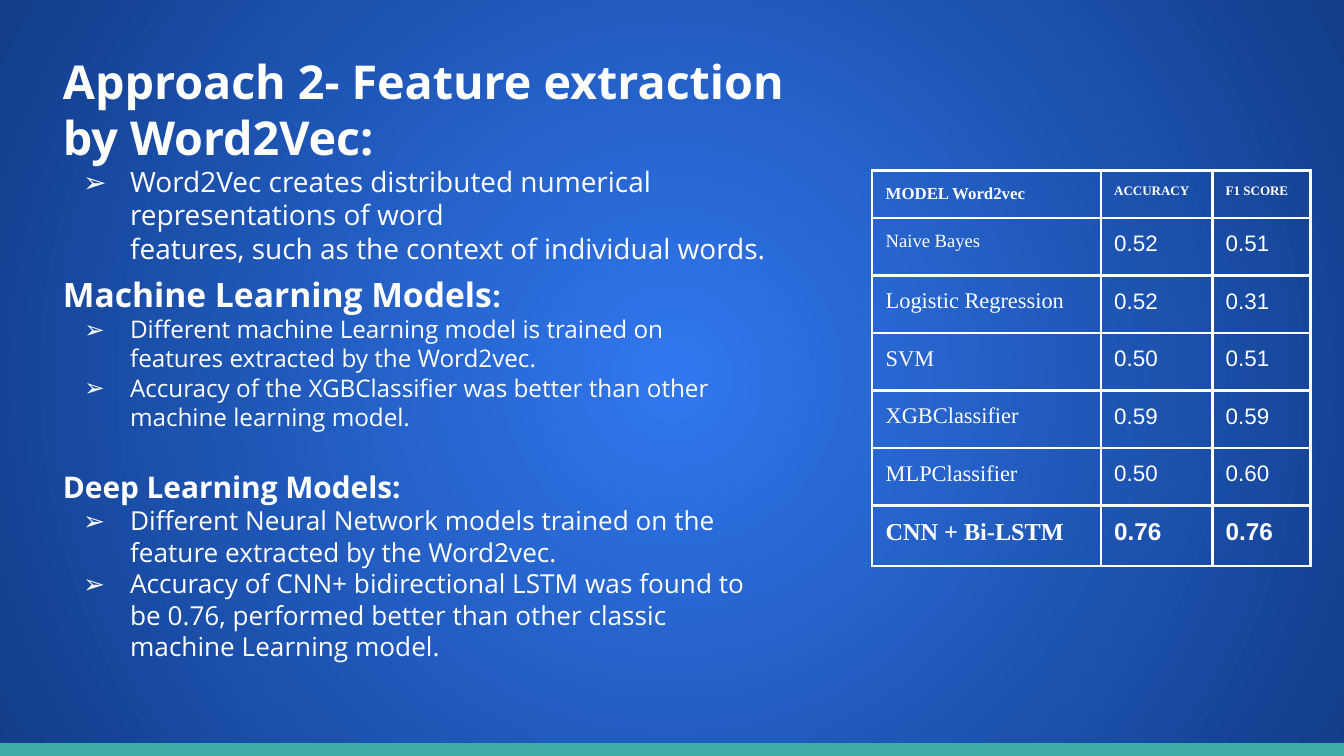
from lxml import etree
from pptx import Presentation
from pptx.dml.color import RGBColor
from pptx.enum import shapes, text
from pptx.oxml.ns import qn
from pptx.util import Inches, Pt

# Each paragraph: (kind, [(words, size role), ...])
SECTIONS = [
    dict(at=(0.37, 0.29, 5.96, 1.94), hang=0.35, paragraphs=[
        ("head", [("Approach 2- Feature extraction by Word2Vec:", "title")]),
        ("bullet", [("Word2Vec creates distributed numerical representations of word ", "intro")]),
        ("more", [("features, such as the context of individual words.", "intro")])]),
    dict(at=(0.37, 1.94, 5.36, 1.41), hang=0.34, paragraphs=[
        ("head", [("Machine Learning Models", "machine"), (":", "deep")]),
        ("bullet", [("Different machine Learning model is trained on features "
                     "extracted by the Word2vec.", "machine_point")]),
        ("bullet", [("Accuracy of the XGBClassifier was better than other "
                     "machine learning model.", "machine_point")])]),
    dict(at=(0.37, 3.39, 5.36, 1.66), hang=0.35, paragraphs=[
        ("head", [("Deep Learning Models:", "deep")]),
        ("bullet", [("Different Neural Network models trained on the feature "
                     "extracted by the Word2vec.", "deep_point")]),
        ("bullet", [("Accuracy of CNN+ bidirectional LSTM was found to be 0.76, performed "
                     "better than other classic machine Learning model. ", "deep_point")])]),
]
SCORES = [
    ("MODEL Word2vec", "ACCURACY", "F1 SCORE"),
    ("Naive Bayes", "0.52", "0.51"),
    ("Logistic Regression", "0.52", "0.31"),
    ("SVM", "0.50", "0.51"),
    ("XGBClassifier", "0.59", "0.59"),
    ("MLPClassifier", "0.50", "0.60"),
    ("CNN + Bi-LSTM", "0.76", "0.76"),
]
SLIDE_WIDTH = 10
SLIDE_HEIGHT = SLIDE_WIDTH * 9 / 16
TABLE_AT = (6.49, 1.27)
TABLE_HEIGHT = 2.93
COLUMNS = (1.7, 0.83, 0.73)
HEAD_ROW, BEST_ROW = 0.34, 0.45
MODEL_ROWS = len(SCORES) - 2
MODEL_ROW = (TABLE_HEIGHT - HEAD_ROW - BEST_ROW) / MODEL_ROWS
ROWS = (HEAD_ROW,) + (MODEL_ROW,) * MODEL_ROWS + (BEST_ROW,)
THEME = dict(
    ink="FFFFFF", glow="3177EE", edge="113D8A", band="3EADA7",
    body="Open Sans", label="Times New Roman", number="Arial",
    title=25, intro=15, machine=18, machine_point=13, deep=16, deep_point=14,
    model_head=9, score_head=7, first_model=10, cell=12, best=13, border=1.5,
)


def color(role):
    """Return a theme colour."""
    return RGBColor.from_string(THEME[role])


def add_run(paragraph, words, size, face, bold):
    """Append one styled run."""
    run = paragraph.add_run()
    run.text = words
    for key, value in dict(size=Pt(THEME[size]), name=THEME[face], bold=bold).items():
        setattr(run.font, key, value)
    run.font.color.rgb = color("ink")


def add_child(parent, tag, **attributes):
    """Append a DrawingML element."""
    return etree.SubElement(parent, qn(tag), attributes)


def set_margins(holder):
    """Give a text frame or cell equal insets."""
    for side in ("left", "right", "top", "bottom"):
        setattr(holder, "margin_" + side, Inches(0.1))


def paint_background(slide):
    """Fill the slide with a glow from its centre."""
    slide.background.fill.gradient()
    gradient = next(slide.element.iter(qn("a:gradFill")))
    for child in list(gradient):
        gradient.remove(child)
    stops = add_child(gradient, "a:gsLst")
    for position, role in (("0", "glow"), ("100000", "edge")):
        stop = add_child(stops, "a:gs", pos=position)
        add_child(stop, "a:srgbClr", val=THEME[role])
    glow = add_child(gradient, "a:path", path="circle")
    add_child(glow, "a:fillToRect", **dict.fromkeys("ltrb", "50000"))


def add_band(slide):
    """Draw the strip along the bottom edge."""
    band = slide.shapes.add_shape(shapes.MSO_SHAPE.RECTANGLE,
                                  *map(Inches, (-0.08, 5.53, 10.13, 0.09)))
    band.shadow.inherit = False
    band.fill.solid()
    band.fill.fore_color.rgb = band.line.color.rgb = color("band")
    band.line.width = Pt(0.75)


def add_section(slide, at, hang, paragraphs):
    """Write a heading with its points."""
    frame = slide.shapes.add_textbox(*map(Inches, at)).text_frame
    frame.word_wrap = True
    set_margins(frame)
    for index, (kind, runs) in enumerate(paragraphs):
        paragraph = frame.add_paragraph() if index else frame.paragraphs[0]
        for words, size in runs:
            add_run(paragraph, words, size, "body", kind == "head")
        if kind == "head":
            continue
        layout = paragraph._p.get_or_add_pPr()
        layout.set("marL", str(Inches(0.5)))
        layout.set("indent", str(-Inches(hang) if kind == "bullet" else 0))
        if kind == "bullet":
            add_child(add_child(layout, "a:buClr"), "a:srgbClr", val=THEME["ink"])
            add_child(layout, "a:buFont", typeface=THEME["body"])
            add_child(layout, "a:buChar", char="➢")


def score_size(row, column):
    """Choose the size role of a table cell."""
    if row == 0:
        return "score_head" if column else "model_head"
    if row == len(SCORES) - 1:
        return "best"
    return "first_model" if (row, column) == (1, 0) else "cell"


def add_scores(slide):
    """Build the outlined table of model scores."""
    size = (sum(COLUMNS), TABLE_HEIGHT)
    table = slide.shapes.add_table(len(ROWS), len(COLUMNS),
                                   *map(Inches, TABLE_AT + size)).table
    table.first_row = table.horz_banding = False
    for column, width in zip(table.columns, COLUMNS):
        column.width = Inches(width)
    for r, (row, height) in enumerate(zip(SCORES, ROWS)):
        table.rows[r].height = Inches(height)
        for c, words in enumerate(row):
            cell = table.cell(r, c)
            set_margins(cell)
            cell.vertical_anchor = text.MSO_ANCHOR.TOP
            face = "number" if r and c else "label"
            add_run(cell.text_frame.paragraphs[0], words, score_size(r, c), face,
                    r in (0, len(SCORES) - 1))
            outline = cell._tc.get_or_add_tcPr()
            for side in "LRTB":
                line = add_child(outline, "a:ln" + side, w=str(Pt(THEME["border"])))
                add_child(add_child(line, "a:solidFill"), "a:srgbClr", val=THEME["ink"])
            cell.fill.background()


def build():
    """Assemble and save the slide."""
    deck = Presentation()
    deck.slide_width, deck.slide_height = Inches(SLIDE_WIDTH), Inches(SLIDE_HEIGHT)
    slide = deck.slides.add_slide(deck.slide_layouts[6])
    paint_background(slide)
    add_band(slide)
    for section in SECTIONS:
        add_section(slide, **section)
    add_scores(slide)
    deck.save("out.pptx")


build()
